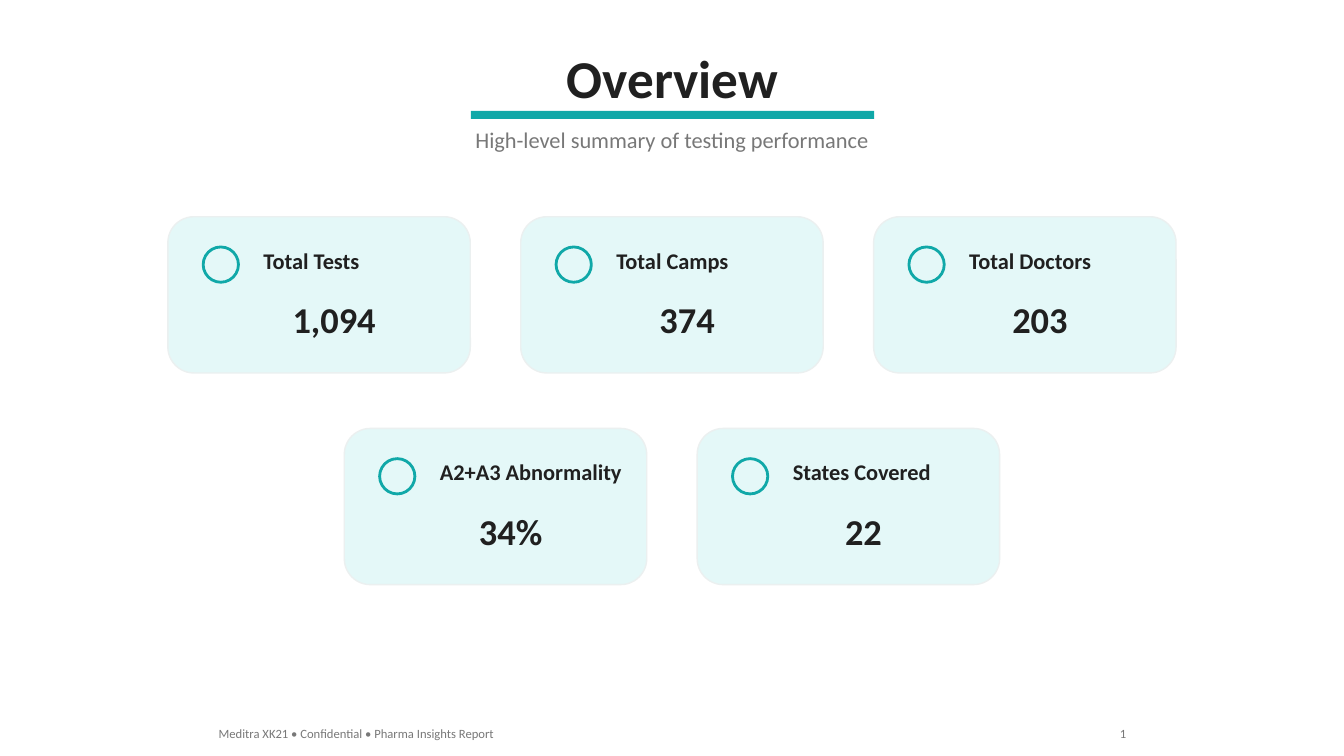
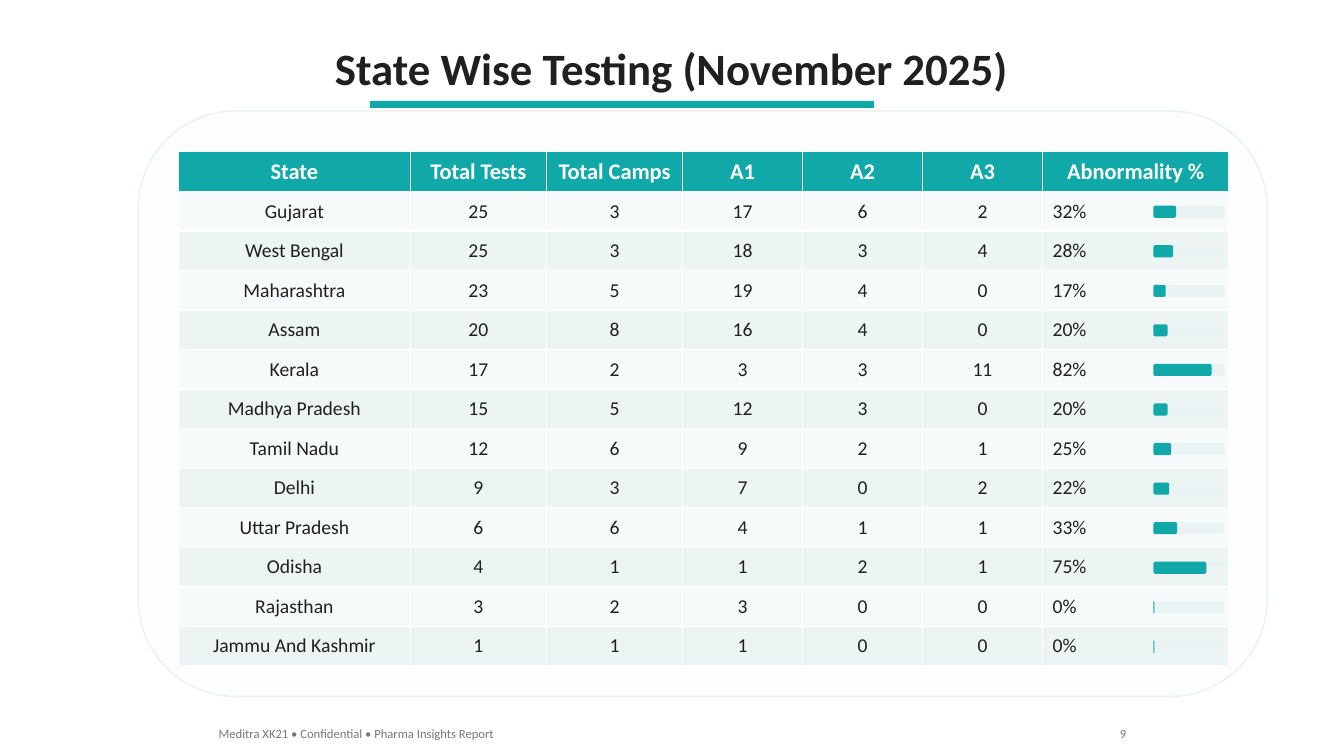
"""Build the overview and state-wise slides of a testing report."""
from dataclasses import dataclass

from pptx import Presentation
from pptx.dml.color import RGBColor
from pptx.enum.shapes import MSO_SHAPE
from pptx.enum.text import MSO_ANCHOR, MSO_AUTO_SIZE, PP_ALIGN
from pptx.presentation import Presentation as Deck
from pptx.shapes.autoshape import Shape
from pptx.slide import Slide
from pptx.text.text import TextFrame, _Paragraph
from pptx.util import Inches, Pt

RECTANGLE, ROUNDED, OVAL = MSO_SHAPE.RECTANGLE, MSO_SHAPE.ROUNDED_RECTANGLE, MSO_SHAPE.OVAL
LEFT, CENTER, RIGHT = PP_ALIGN.LEFT, PP_ALIGN.CENTER, PP_ALIGN.RIGHT
TOP, MIDDLE = MSO_ANCHOR.TOP, MSO_ANCHOR.MIDDLE
NO_AUTOFIT = MSO_AUTO_SIZE.NONE

TEAL = RGBColor(0x10, 0xA8, 0xA8)
INK = RGBColor(0x20, 0x20, 0x20)
GREY = RGBColor(0x78, 0x78, 0x78)
WHITE = RGBColor(0xFF, 0xFF, 0xFF)
CARD_FILL = RGBColor(0xE4, 0xF8, 0xF8)
OUTLINE = RGBColor(0xEB, 0xF0, 0xF0)
PANEL_FILL = RGBColor(0xFC, 0xFD, 0xFD)
TRACK_FILL = RGBColor(0xEA, 0xF3, 0xF3)
ROW_FILLS = (RGBColor(0xF6, 0xFA, 0xFA), RGBColor(0xEC, 0xF4, 0xF4))

SLIDE_WIDTH, SLIDE_HEIGHT = 13.33, 7.5
FOOTER = "Meditra XK21 • Confidential • Pharma Insights Report"

CARD_WIDTH, CARD_HEIGHT = 3, 1.55
CARD_GAP, CARD_ROW_PITCH, CARDS_TOP = 0.5, 2.1, 2.15
VALUE_CENTER = 1.65

TABLE_LEFT, TABLE_TOP = 1.77, 1.5
HEADER_HEIGHT, ROW_HEIGHT = 0.4, 4.71 / 12
HEADINGS = ("State", "Total Tests", "Total Camps", "A1", "A2", "A3", "Abnormality %")
COLUMN_WIDTHS = (2.3, 1.35, 1.35, 1.19, 1.19, 1.19, 1.85)
BAR_LEFT, BAR_OFFSET, BAR_WIDTH, BAR_HEIGHT = 11.44, 0.14, 0.7, 0.12


@dataclass(frozen=True)
class Box:
    """Position and size in inches."""
    left: float
    top: float
    width: float
    height: float


@dataclass(frozen=True)
class TextStyle:
    """Character and paragraph format of a text."""
    size: float
    color: RGBColor = INK
    bold: bool = False
    alignment: PP_ALIGN = LEFT


@dataclass(frozen=True)
class Card:
    """One key figure with the widths of its two texts."""
    label: str
    value: str
    label_width: float
    value_width: float


@dataclass(frozen=True)
class StateResult:
    """Test counts of one state."""
    state: str
    tests: int
    camps: int
    a1: int
    a2: int
    a3: int

    @property
    def abnormality(self) -> float:
        """Return the share of A2 and A3 results."""
        return (self.a2 + self.a3) / self.tests

    def cells(self) -> tuple[str, ...]:
        """Return the texts of the table row."""
        counts = (self.tests, self.camps, self.a1, self.a2, self.a3)
        return (self.state, *map(str, counts), f"{self.abnormality:.0%}")


CARD_ROWS = (
    (
        Card("Total Tests", "1,094", 1.16, 1.03),
        Card("Total Camps", "374", 1.33, 0.75),
        Card("Total Doctors", "203", 1.43, 0.75),
    ),
    (
        Card("A2+A3 Abnormality", "34%", 2.03, 0.84),
        Card("States Covered", "22", 1.59, 0.57),
    ),
)

STATE_RESULTS = (
    StateResult("Gujarat", 25, 3, 17, 6, 2),
    StateResult("West Bengal", 25, 3, 18, 3, 4),
    StateResult("Maharashtra", 23, 5, 19, 4, 0),
    StateResult("Assam", 20, 8, 16, 4, 0),
    StateResult("Kerala", 17, 2, 3, 3, 11),
    StateResult("Madhya Pradesh", 15, 5, 12, 3, 0),
    StateResult("Tamil Nadu", 12, 6, 9, 2, 1),
    StateResult("Delhi", 9, 3, 7, 0, 2),
    StateResult("Uttar Pradesh", 6, 6, 4, 1, 1),
    StateResult("Odisha", 4, 1, 1, 2, 1),
    StateResult("Rajasthan", 3, 2, 3, 0, 0),
    StateResult("Jammu And Kashmir", 1, 1, 1, 0, 0),
)


def inches(box: Box) -> tuple[Inches, Inches, Inches, Inches]:
    """Convert a box to lengths."""
    return Inches(box.left), Inches(box.top), Inches(box.width), Inches(box.height)


def write(paragraph: _Paragraph, text: str, style: TextStyle) -> None:
    """Put formatted text into a paragraph."""
    paragraph.alignment = style.alignment
    run = paragraph.add_run()
    run.text = text
    font_format = {"name": "Calibri", "size": Pt(style.size), "bold": style.bold}
    for name, value in font_format.items():
        setattr(run.font, name, value)
    run.font.color.rgb = style.color


def fill_frame(frame: TextFrame, text: str, style: TextStyle) -> None:
    """Write one unwrapped line at the top of a text frame."""
    frame_format = {"word_wrap": False, "auto_size": NO_AUTOFIT, "vertical_anchor": TOP}
    for name, value in frame_format.items():
        setattr(frame, name, value)
    write(frame.paragraphs[0], text, style)


def add_text(slide: Slide, box: Box, text: str, style: TextStyle) -> None:
    """Add a text box."""
    fill_frame(slide.shapes.add_textbox(*inches(box)).text_frame, text, style)


def add_shape(
    slide: Slide,
    kind: MSO_SHAPE,
    box: Box,
    fill: RGBColor | None = None,
    line: RGBColor | None = None,
    line_width: float = 1,
) -> Shape:
    """Add a flat preset shape."""
    shape = slide.shapes.add_shape(kind, *inches(box))
    shape.shadow.inherit = False
    if fill is None:
        shape.fill.background()
    else:
        shape.fill.solid()
        shape.fill.fore_color.rgb = fill
    if line is None:
        shape.line.fill.background()
    else:
        shape.line.color.rgb = line
        shape.line.width = Pt(line_width)
    return shape


def add_slide(
    presentation: Deck, title: str, title_box: Box, size: float, rule: Box, number: int
) -> Slide:
    """Add a slide with title, teal rule and footer."""
    slide = presentation.slides.add_slide(presentation.slide_layouts[5])
    placeholder = slide.shapes.title
    names = ("left", "top", "width", "height")
    for name, value in zip(names, inches(title_box)):
        setattr(placeholder, name, value)
    fill_frame(placeholder.text_frame, title, TextStyle(size, INK, True, CENTER))
    add_shape(slide, RECTANGLE, rule, TEAL)
    add_text(slide, Box(2.07, 7.15, 3.05, 0.25), FOOTER, TextStyle(9, GREY))
    add_text(slide, Box(11, 7.15, 0.27, 0.25), str(number), TextStyle(9, GREY, False, RIGHT))
    return slide


def add_card(slide: Slide, card: Card, left: float, top: float) -> None:
    """Draw a key figure card."""
    add_shape(slide, ROUNDED, Box(left, top, CARD_WIDTH, CARD_HEIGHT), CARD_FILL, OUTLINE)
    add_shape(slide, OVAL, Box(left + 0.35, top + 0.3, 0.35, 0.35), None, TEAL, 2)
    label_box = Box(left + 0.85, top + 0.25, card.label_width, 0.37)
    add_text(slide, label_box, card.label, TextStyle(16, INK, True))
    value_left = left + VALUE_CENTER - card.value_width / 2
    value_box = Box(value_left, top + 0.75, card.value_width, 0.54)
    add_text(slide, value_box, card.value, TextStyle(26, INK, True, CENTER))


def build_overview(presentation: Deck) -> None:
    """Build the slide of key figures."""
    slide = add_slide(
        presentation, "Overview", Box(5.51, 0.4, 2.32, 0.74), 38, Box(4.67, 1.1, 4, 0.08), 1
    )
    subtitle = "High-level summary of testing performance"
    add_text(slide, Box(4.59, 1.2, 4.15, 0.37), subtitle, TextStyle(16, GREY, False, CENTER))
    pitch = CARD_WIDTH + CARD_GAP
    for row, cards in enumerate(CARD_ROWS):
        row_left = (SLIDE_WIDTH - len(cards) * pitch + CARD_GAP) / 2
        for column, card in enumerate(cards):
            add_card(slide, card, row_left + column * pitch, CARDS_TOP + row * CARD_ROW_PITCH)


def add_state_table(slide: Slide) -> None:
    """Add the table of state results."""
    rows = (HEADINGS, *(result.cells() for result in STATE_RESULTS))
    height = HEADER_HEIGHT + ROW_HEIGHT * len(STATE_RESULTS)
    box = Box(TABLE_LEFT, TABLE_TOP, sum(COLUMN_WIDTHS), height)
    table = slide.shapes.add_table(len(rows), len(HEADINGS), *inches(box)).table
    for column, width in zip(table.columns, COLUMN_WIDTHS):
        column.width = Inches(width)
    for row, texts in enumerate(rows):
        header = row == 0
        table.rows[row].height = Inches(HEADER_HEIGHT if header else ROW_HEIGHT)
        for column, text in enumerate(texts):
            cell = table.cell(row, column)
            cell.vertical_anchor = MIDDLE
            cell.fill.solid()
            cell.fill.fore_color.rgb = TEAL if header else ROW_FILLS[(row - 1) % 2]
            percent = not header and column == len(HEADINGS) - 1
            style = TextStyle(
                16 if header else 14,
                WHITE if header else INK,
                header,
                LEFT if percent else CENTER,
            )
            write(cell.text_frame.paragraphs[0], text, style)


def build_state_testing(presentation: Deck) -> None:
    """Build the slide of results by state."""
    slide = add_slide(
        presentation,
        "State Wise Testing (November 2025)",
        Box(3.19, 0.35, 6.94, 0.64),
        32,
        Box(3.67, 1, 5, 0.07),
        9,
    )
    add_shape(slide, ROUNDED, Box(1.37, 1.1, 11.2, 5.81), PANEL_FILL, OUTLINE)
    add_state_table(slide)
    for row, result in enumerate(STATE_RESULTS):
        top = TABLE_TOP + HEADER_HEIGHT + BAR_OFFSET + row * ROW_HEIGHT
        bar_width = max(BAR_WIDTH * result.abnormality, 0.01)
        for width, color in ((BAR_WIDTH, TRACK_FILL), (bar_width, TEAL)):
            add_shape(slide, ROUNDED, Box(BAR_LEFT, top, width, BAR_HEIGHT), color)


def main() -> None:
    """Create and save the presentation."""
    presentation = Presentation()
    presentation.slide_width = Inches(SLIDE_WIDTH)
    presentation.slide_height = Inches(SLIDE_HEIGHT)
    build_overview(presentation)
    build_state_testing(presentation)
    presentation.save("out.pptx")


if __name__ == "__main__":
    main()
